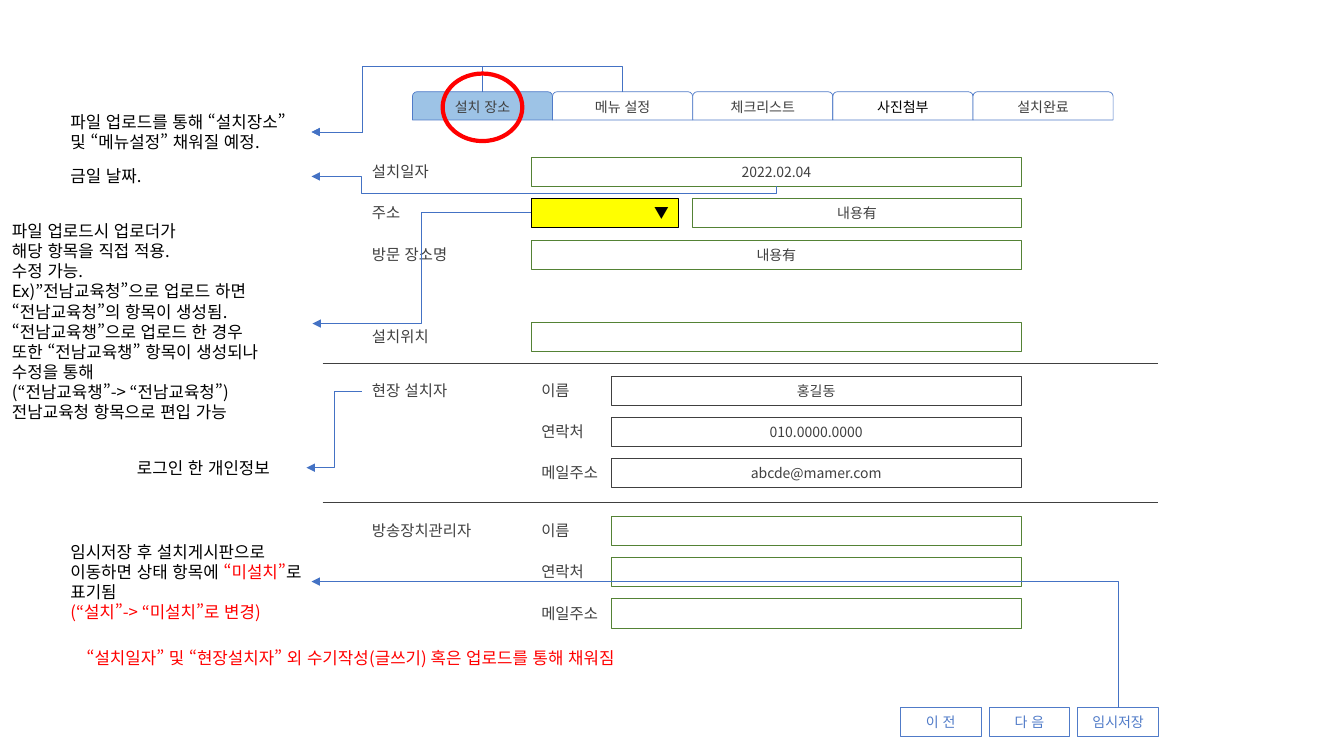
from lxml import etree
from pptx import Presentation
from pptx.dml.color import RGBColor
from pptx.enum.lang import MSO_LANGUAGE_ID
from pptx.enum.shapes import MSO_CONNECTOR, MSO_SHAPE
from pptx.enum.text import MSO_ANCHOR, MSO_AUTO_SIZE, PP_ALIGN
from pptx.oxml.ns import qn
from pptx.util import Inches, Pt

RECT, TAB, OVAL = MSO_SHAPE.RECTANGLE, MSO_SHAPE.ROUND_2_SAME_RECTANGLE, MSO_SHAPE.OVAL
STRAIGHT, ELBOW = MSO_CONNECTOR.STRAIGHT, MSO_CONNECTOR.ELBOW
LEFT, CENTER, RIGHT = PP_ALIGN.LEFT, PP_ALIGN.CENTER, PP_ALIGN.RIGHT
TOP, MIDDLE = MSO_ANCHOR.TOP, MSO_ANCHOR.MIDDLE
GROW, FIXED = MSO_AUTO_SIZE.SHAPE_TO_FIT_TEXT, MSO_AUTO_SIZE.NONE
KOREAN = MSO_LANGUAGE_ID.KOREAN
FONT = "Noto Sans CJK KR"

BLACK = RGBColor(0x00, 0x00, 0x00)
WHITE = RGBColor(0xFF, 0xFF, 0xFF)
GRAY = RGBColor(0x40, 0x40, 0x40)
GREEN = RGBColor(0x54, 0x82, 0x35)
BLUE = RGBColor(0x50, 0x7B, 0xC8)
ARROW_BLUE = RGBColor(0x44, 0x72, 0xC4)
SKY = RGBColor(0x9D, 0xC3, 0xE6)
YELLOW = RGBColor(0xFF, 0xFF, 0x00)
RED = RGBColor(0xFF, 0x00, 0x00)

SLIDE_W, SLIDE_H = 13.33, 7.5
ROW_PITCH, ROW_H = 0.41, 0.29
LABEL_X, LABEL_W = 3.59, 1.85
FIELD_X, FIELD_RIGHT = 5.27, 10.13
ADDRESS_X, CONTACT_X = 6.87, 6.06
PLACE_TOP = 1.56
TAB_X, TAB_Y, TAB_W, TAB_H = 4.09, 0.91, 1.39, 0.28
BUTTON_X, BUTTON_Y, BUTTON_W, BUTTON_PITCH = 8.93, 7.02, 0.8, 0.88
RULE_LEFT, RULE_RIGHT = 3.2, 11.49

TABS = [("설치 장소", SKY, GRAY), ("메뉴 설정", WHITE, GRAY), ("체크리스트", WHITE, GRAY),
        ("사진첨부", None, BLACK), ("설치완료", WHITE, GRAY)]
PLACE_ROWS = [(0, "설치일자", FIELD_X, "2022.02.04"), (1, "주소", ADDRESS_X, "내용有"),
              (2, "방문 장소명", FIELD_X, "내용有"), (4, "설치위치", FIELD_X, "")]
CONTACT_LABELS = ["이름", "연락처", "메일주소"]
CONTACTS = [(3.73, "현장 설치자", GRAY, ["홍길동", "010.0000.0000", "abcde@mamer.com"]),
            (5.12, "방송장치관리자", GREEN, ["", "", ""])]
RULES = [3.6, 4.98]
BUTTONS = ["이 전", "다 음", "임시저장"]
NOTES = [
    ((0.6, 1.06, 2.5, 0.5),
     [[("파일 업로드를 통해 “설치장소” 및 “메뉴설정” 채워질 예정.", BLACK)]]),
    ((0.6, 1.6, 2.5, 0.3), [[("금일 날짜.", BLACK)]]),
    ((0.02, 2.14, 3.08, 2.12), [[(line, BLACK)] for line in (
        "파일 업로드시 업로더가",
        "해당 항목을 직접 적용.",
        "수정 가능.",
        "Ex)”전남교육청”으로 업로드 하면",
        "“전남교육청”의 항목이 생성됨.",
        "“전남교육챙”으로 업로드 한 경우",
        "또한 “전남교육챙” 항목이 생성되나",
        "수정을 통해",
        "(“전남교육챙”-> “전남교육청”)",
        "전남교육청 항목으로 편입 가능")]),
    ((1.26, 4.49, 1.78, 0.3), [[("로그인 한 개인정보", BLACK)]]),
    ((0.6, 5.32, 2.5, 0.91),
     [[("임시저장 후 설치게시판으로 이동하면 상태 항목에 ", BLACK), ("“미설치”", RED),
       ("로 표기됨", BLACK)],
      [("(“설치”-> “미설치”로 변경)", RED)]]),
    ((0.76, 6.38, 6.09, 0.3),
     [[("“설치일자” 및 “현장설치자” 외 수기작성(글쓰기) 혹은 업로드를 통해 채워짐", RED)]]),
]
ARROWS = [
    ((4.78, 0.91), (3.09, 1.31), 270, {"y": 0.66, "x": 3.59}),
    ((6.17, 0.91), (3.09, 1.31), 270, {"y": 0.66, "x": 3.59}),
    ((5.27, 2.11), (3.1, 3.21), 0, {"x": 4.18}),
    ((7.7, 1.85), (3.09, 1.75), 90, {"y": 1.92, "x": 3.59}),
    ((3.59, 3.88), (3.04, 4.64), 0, {"x": 3.32}),
    ((11.09, 7.02), (3.09, 5.77), 270, {}),
]
TURNS_BACK = {0: lambda x, y: (x, y), 90: lambda x, y: (y, -x), 270: lambda x, y: (-y, x)}


def write(box, paragraphs, size, align=LEFT, anchor=TOP, grow=False):
    frame = box.text_frame
    settings = {"word_wrap": True, "vertical_anchor": anchor,
                "auto_size": GROW if grow else FIXED}
    for name, value in settings.items():
        setattr(frame, name, value)
    for index, spans in enumerate(paragraphs):
        para = frame.add_paragraph() if index else frame.paragraphs[0]
        para.alignment = align
        for text, color in spans:
            span = para.add_run()
            span.text = text
            for name, value in {"name": FONT, "size": Pt(size), "language_id": KOREAN}.items():
                setattr(span.font, name, value)
            span.font.color.rgb = color
            latin = span.font._element.find(qn("a:latin"))
            latin.addnext(etree.Element(qn("a:ea"), typeface=FONT))


def add_note(area, paragraphs, size=12):
    box = page.shapes.add_textbox(*map(Inches, area))
    write(box, paragraphs, size, grow=True)


def add_label(left, top, width, text):
    add_note((left, top, width, ROW_H), [[(text, GRAY)]], 11)


def add_box(kind, area, fill, line, weight=0.5, text="", color=GRAY):
    box = page.shapes.add_shape(kind, *map(Inches, area))
    box.shadow.inherit = False
    if fill is None:
        box.fill.background()
    else:
        box.fill.solid()
        box.fill.fore_color.rgb = fill
    box.line.color.rgb = line
    box.line.width = Pt(weight)
    if text:
        write(box, [[(text, color)]], 10, CENTER, MIDDLE)
    return box


def add_field(left, top, line, text):
    add_box(RECT, (left, top, FIELD_RIGHT - left, ROW_H), WHITE, line, text=text)


def add_line(kind, begin, end, color):
    line = page.shapes.add_connector(kind, *map(Inches, (*begin, *end)))
    line.line.color.rgb = color
    line.line.width = Pt(0.5)
    etree.SubElement(line._element.spPr, qn("a:effectLst"))
    return line


def add_arrow(begin, end, turn, rails):
    mid_x, mid_y = (begin[0] + end[0]) / 2, (begin[1] + end[1]) / 2
    dx, dy = TURNS_BACK[turn](begin[0] - mid_x, begin[1] - mid_y)
    arrow = add_line(ELBOW, (mid_x + dx, mid_y + dy), (mid_x - dx, mid_y - dy), ARROW_BLUE)
    properties = arrow._element.spPr
    properties.find(qn("a:xfrm")).set("rot", str(turn * 60000))
    geometry = properties.find(qn("a:prstGeom"))
    geometry.set("prst", f"bentConnector{len(rails) + 2}")
    guides = geometry.find(qn("a:avLst"))
    for number, (direction, rail) in enumerate(rails.items(), 1):
        axis = "xy".index(direction)
        share = (rail - begin[axis]) / (end[axis] - begin[axis])
        etree.SubElement(guides, qn("a:gd"), name=f"adj{number}",
                         fmla=f"val {round(share * 100000)}")
    etree.SubElement(properties.find(qn("a:ln")), qn("a:tailEnd"), type="triangle")


deck = Presentation()
deck.slide_width, deck.slide_height = Inches(SLIDE_W), Inches(SLIDE_H)
page = deck.slides.add_slide(deck.slide_layouts[6])

for row, label, left, value in PLACE_ROWS:
    top = PLACE_TOP + row * ROW_PITCH
    add_label(LABEL_X, top, LABEL_W, label)
    add_field(left, top, GREEN, value)

for section_top, heading, line, values in CONTACTS:
    add_label(LABEL_X, section_top, LABEL_W, heading)
    for row, (label, value) in enumerate(zip(CONTACT_LABELS, values)):
        top = section_top + row * ROW_PITCH
        add_field(CONTACT_X, top, line, value)
        add_label(FIELD_X, top, 0.92, label)

for height in RULES:
    add_line(STRAIGHT, (RULE_LEFT, height), (RULE_RIGHT, height), GRAY)

for column, text in enumerate(BUTTONS):
    area = (BUTTON_X + column * BUTTON_PITCH, BUTTON_Y, BUTTON_W, ROW_H)
    add_box(RECT, area, WHITE, BLUE, text=text, color=BLUE)

for column, (text, fill, color) in enumerate(TABS):
    area = (TAB_X + column * TAB_W, TAB_Y, TAB_W, TAB_H)
    add_box(TAB, area, fill, BLUE, text=text, color=color)

dropdown = add_box(RECT, (FIELD_X, PLACE_TOP + ROW_PITCH, 1.46, ROW_H), YELLOW, BLACK, 0.75)
write(dropdown, [[("▼", BLACK)]], 10.5, RIGHT, grow=True)

for area, paragraphs in NOTES:
    add_note(area, paragraphs)
for arrow in ARROWS:
    add_arrow(*arrow)
add_box(OVAL, (4.39, 0.73, 0.79, 0.67), None, RED, 3)

deck.save("out.pptx")
